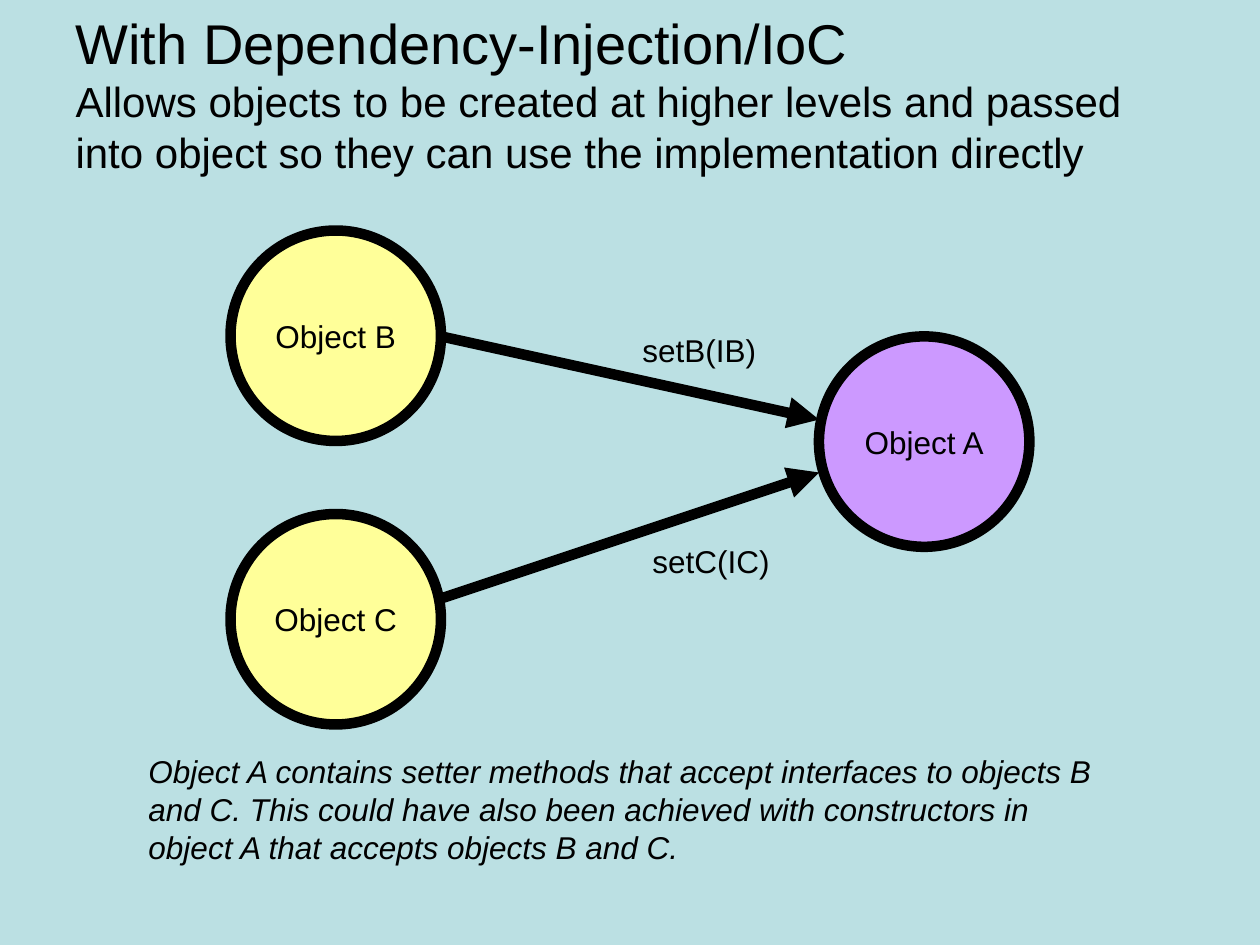
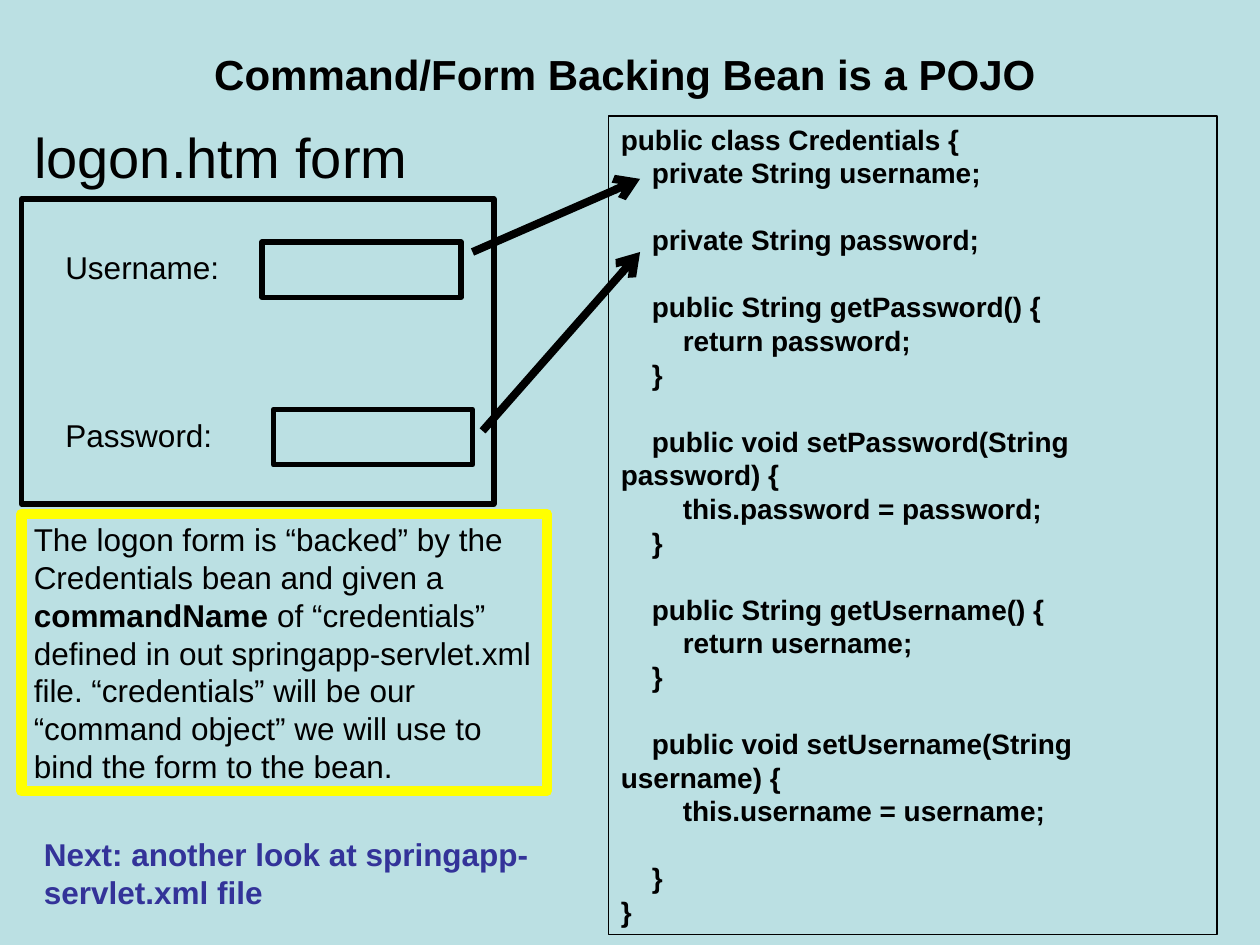
import pptx
import pptx.util
import pptx.dml.color
import pptx.enum.shapes
import pptx.enum.text
import pptx.oxml
import pptx.oxml.ns
from pptx.util import Inches, Pt

COLORS = {
    "background": "BBE0E3",
    "ink": "000000",
    "supplier": "FFFF99",
    "consumer": "CC99FF",
    "highlight": "FFFF00",
    "next": "333399",
}
FONT = "Arial"
LINE_HEIGHT = 1.2

INJECTION_TITLE = [
    ("With Dependency-Injection/IoC", 32),
    ("Allows objects to be created at higher levels and passed into object "
     "so they can use the implementation directly", 24),
]
CIRCLE_SIZE = 1.67
OBJECTS = [
    ("Object A", 6.5, 2.67, "consumer"),
    ("Object B", 1.83, 1.83, "supplier"),
    ("Object C", 1.83, 4.08, "supplier"),
]
INJECTIONS = [
    ("setB(IB)", (5, 2.58), (3.5, 2.67), (6.5, 3.33)),
    ("setC(IC)", (5.08, 4.25), (3.5, 4.75), (6.5, 3.75)),
]
SETTER_NOTE = (
    "Object A contains setter methods that accept interfaces to objects B and C. "
    "This could have also been achieved with constructors in object A that "
    "accepts objects B and C."
)

BEAN_TITLE = "Command/Form Backing Bean is a POJO"
FORM_HEADING = "logon.htm form"
FIELDS = [
    ("Username:", 1.92, 2.08, (3.75, 2), (5.08, 1.42)),
    ("Password:", 3.25, 2.17, (3.83, 3.42), (5.08, 2)),
]
BACKING_NOTE = [
    ("The logon form is “backed” by the Credentials bean and given a ", False),
    ("commandName", True),
    (" of “credentials” defined in out springapp-servlet.xml file. “credentials” "
     "will be our “command object” we will use to bind the form to the bean.", False),
]
NEXT_STEP = "Next: another look at springapp-servlet.xml file"
BEAN_CODE = """public class Credentials {
    private String username;

    private String password;

    public String getPassword() {
        return password;
    }

    public void setPassword(String password) {
        this.password = password;
    }

    public String getUsername() {
        return username;
    }

    public void setUsername(String username) {
        this.username = username;

    }
}"""


def rgb(name):
    return pptx.dml.color.RGBColor.from_string(COLORS[name])


def add_run(paragraph, text, size=18, bold=False, italic=False, color="ink"):
    run = paragraph.add_run()
    run.text = text
    run.font.name = FONT
    run.font.size = Pt(size)
    run.font.bold = bold
    run.font.italic = italic
    run.font.color.rgb = rgb(color)


def prepare_frame(shape, anchor=pptx.enum.text.MSO_ANCHOR.TOP, wrap=True):
    frame = shape.text_frame
    frame.auto_size = pptx.enum.text.MSO_AUTO_SIZE.NONE
    frame.word_wrap = wrap
    frame.vertical_anchor = anchor
    return frame


def first_paragraph(frame, size=18, align=pptx.enum.text.PP_ALIGN.LEFT):
    paragraph = frame.paragraphs[0]
    paragraph.alignment = align
    paragraph.line_spacing = Pt(size * LINE_HEIGHT)
    return paragraph


def add_label(slide, text, left, top, width, height=0.4, **style):
    label = slide.shapes.add_textbox(*map(Inches, (left, top, width, height)))
    add_run(first_paragraph(prepare_frame(label)), text, **style)


def add_outline(slide, kind, box, weight, line="ink", fill=None):
    shape = slide.shapes.add_shape(kind, *map(Inches, box))
    shape.shadow.inherit = False
    if fill:
        shape.fill.solid()
        shape.fill.fore_color.rgb = rgb(fill)
    else:
        shape.fill.background()
    shape.line.color.rgb = rgb(line)
    shape.line.width = Pt(weight)
    return shape


def add_arrow(slide, start, end, weight, head):
    arrow = slide.shapes.add_connector(
        pptx.enum.shapes.MSO_CONNECTOR.STRAIGHT, *map(Inches, start + end))
    arrow.line.color.rgb = rgb("ink")
    arrow.line.width = Pt(weight)
    tail = pptx.oxml.parse_xml(
        f'<a:tailEnd {pptx.oxml.ns.nsdecls("a")} type="{head}"/>')
    arrow.line._get_or_add_ln().append(tail)
    arrow._element.spPr.append(
        pptx.oxml.parse_xml(f'<a:effectLst {pptx.oxml.ns.nsdecls("a")}/>'))


def place(shape, left, top, width, height):
    shape.left, shape.top, shape.width, shape.height = map(
        Inches, (left, top, width, height))


def set_title(slide, lines, box, align, bold=False):
    title = slide.shapes.title
    place(title, *box)
    frame = prepare_frame(title, pptx.enum.text.MSO_ANCHOR.MIDDLE)
    paragraph = frame.paragraphs[0]
    paragraph.alignment = align
    for index, (text, size) in enumerate(lines):
        if index:
            paragraph.add_line_break()
        add_run(paragraph, text, size, bold)


def build_injection(prs):
    slide = prs.slides.add_slide(prs.slide_layouts[5])
    set_title(slide, INJECTION_TITLE, (0.5, 0.3, 9, 0.87),
              pptx.enum.text.PP_ALIGN.LEFT)
    for _, _, start, end in INJECTIONS:
        add_arrow(slide, start, end, 6, "triangle")
    for name, left, top, fill in OBJECTS:
        circle = add_outline(slide, pptx.enum.shapes.MSO_SHAPE.OVAL,
                             (left, top, CIRCLE_SIZE, CIRCLE_SIZE), 6, fill=fill)
        frame = prepare_frame(circle, pptx.enum.text.MSO_ANCHOR.MIDDLE, wrap=False)
        add_run(first_paragraph(frame, align=pptx.enum.text.PP_ALIGN.CENTER), name)
    for setter, (left, top), _, _ in INJECTIONS:
        add_label(slide, setter, left, top, 1.25)
    add_label(slide, SETTER_NOTE, 1.08, 5.92, 7.75, 1, italic=True)


def add_form_heading(slide):
    heading = slide.placeholders[1]
    place(heading, 0.17, 0.92, 9.33, 5.78)
    paragraph = prepare_frame(heading).paragraphs[0]
    paragraph.space_before = Pt(0)
    properties = paragraph._p.get_or_add_pPr()
    properties.set("marL", "0")
    properties.set("indent", "0")
    properties.append(
        pptx.oxml.parse_xml(f'<a:buNone {pptx.oxml.ns.nsdecls("a")}/>'))
    add_run(paragraph, FORM_HEADING, 32)


def add_code(slide, rect):
    listing = add_outline(slide, rect, (4.83, 0.92, 4.83, 6.5), 0.75)
    frame = prepare_frame(listing)
    size = 16
    paragraph, gap = first_paragraph(frame, size), 0
    for index, line in enumerate(BEAN_CODE.split("\n")):
        if not line:
            gap += size * LINE_HEIGHT
            continue
        if index:
            paragraph = frame.add_paragraph()
            paragraph.alignment = pptx.enum.text.PP_ALIGN.LEFT
            paragraph.line_spacing = Pt(size * LINE_HEIGHT)
            paragraph.space_before = Pt(gap)
        add_run(paragraph, line, size, bold=True)
        gap = 0


def build_bean(prs):
    rect = pptx.enum.shapes.MSO_SHAPE.RECTANGLE
    slide = prs.slides.add_slide(prs.slide_layouts[1])
    set_title(slide, [(BEAN_TITLE, 24)], (0.5, 0.25, 8.92, 0.67),
              pptx.enum.text.PP_ALIGN.CENTER, bold=True)
    add_form_heading(slide)
    add_outline(slide, rect, (0.17, 1.58, 3.75, 2.42), 3, fill="background")
    for name, top, entry_left, _, _ in FIELDS:
        add_label(slide, name, 0.42, top, 1.5)
        add_outline(slide, rect, (entry_left, top, 1.58, 0.44), 3)
    add_code(slide, rect)
    note = add_outline(slide, rect, (0.17, 4.08, 4.17, 2.2), 6, line="highlight")
    paragraph = first_paragraph(prepare_frame(note))
    for text, bold in BACKING_NOTE:
        add_run(paragraph, text, bold=bold)
    for _, _, _, start, end in FIELDS:
        add_arrow(slide, start, end, 4.5, "arrow")
    add_label(slide, NEXT_STEP, 0.25, 6.58, 4.17, 0.7, bold=True, color="next")


def main():
    prs = pptx.Presentation()
    prs.slide_width, prs.slide_height = Inches(10), Inches(7.5)
    backdrop = prs.slide_master.background.fill
    backdrop.solid()
    backdrop.fore_color.rgb = rgb("background")
    build_injection(prs)
    build_bean(prs)
    prs.save("out.pptx")


if __name__ == "__main__":
    main()
